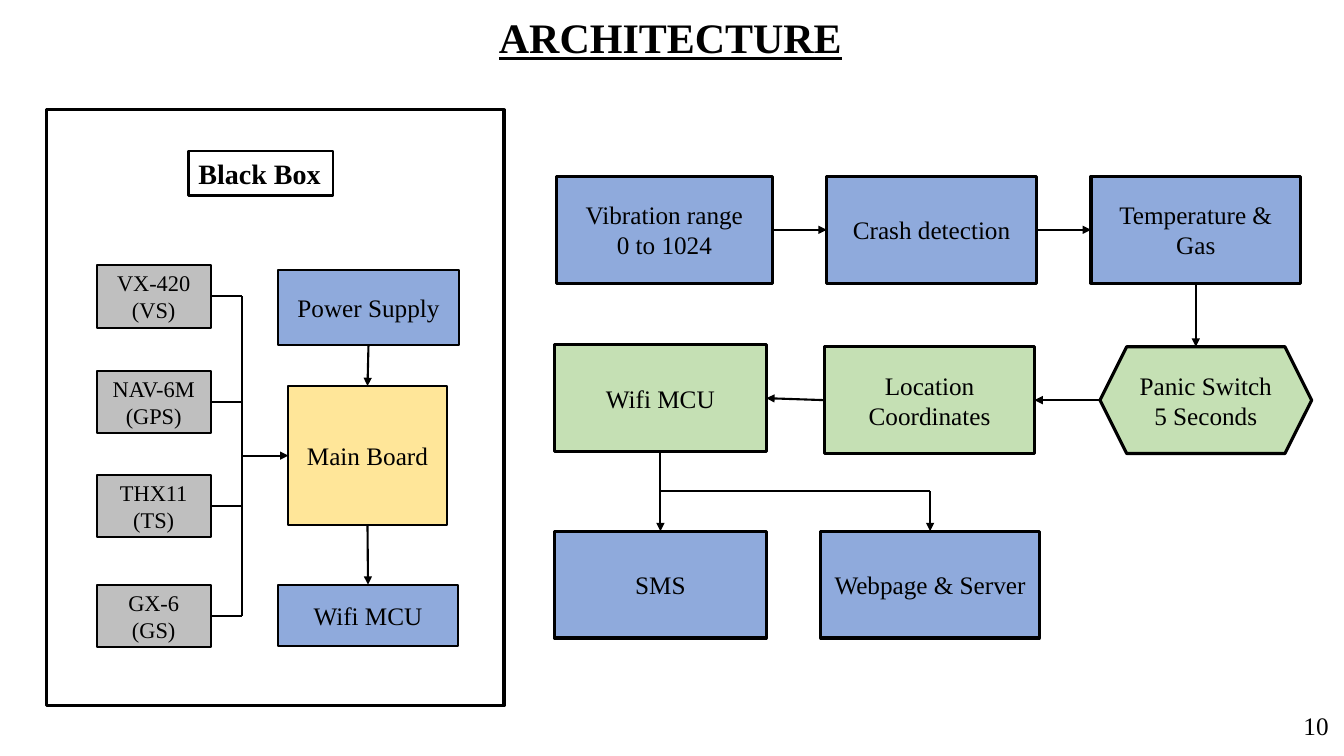
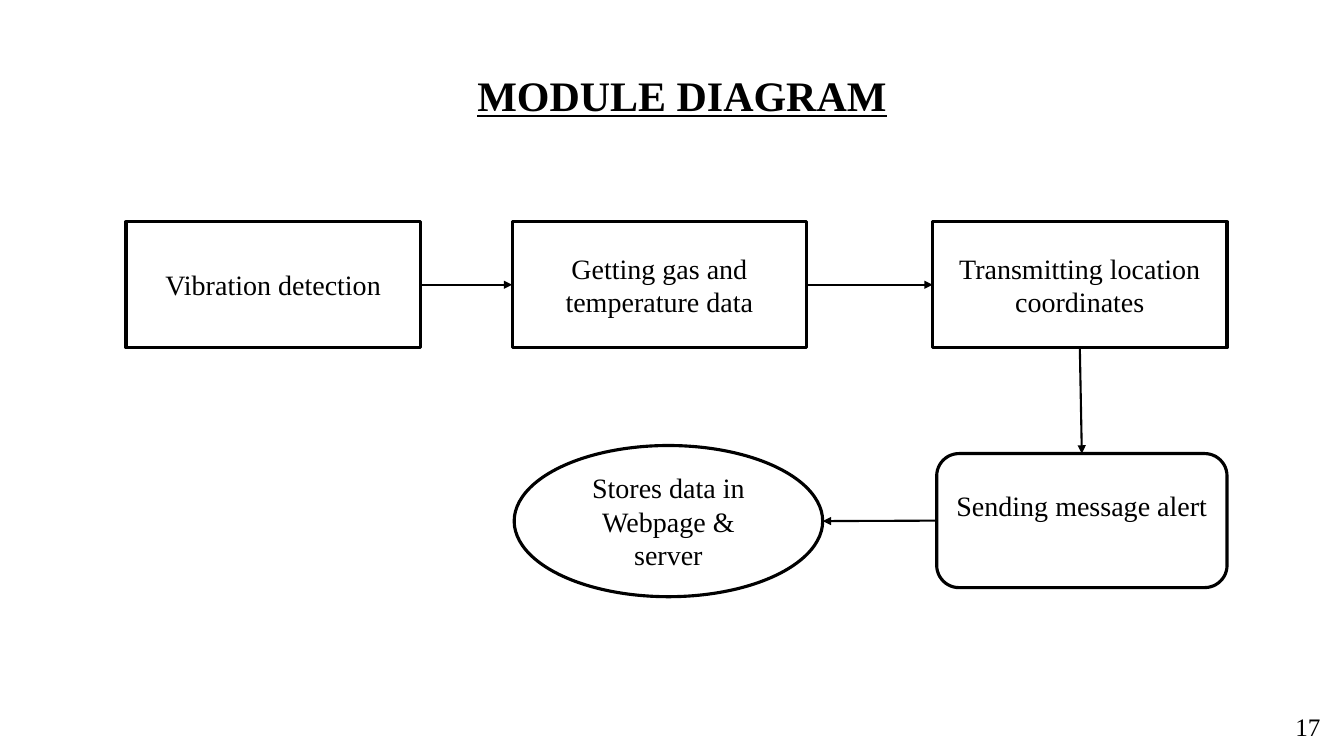
import dataclasses

import pptx
import pptx.dml.color
import pptx.enum.shapes
import pptx.enum.text
import pptx.oxml
import pptx.oxml.ns
import pptx.util

Inches = pptx.util.Inches
Pt = pptx.util.Pt
Form = pptx.enum.shapes.MSO_SHAPE
Align = pptx.enum.text.PP_ALIGN
Anchor = pptx.enum.text.MSO_ANCHOR
TOP, LEFT, BOTTOM, RIGHT = range(4)


@dataclasses.dataclass(frozen=True)
class Theme:
    """Hold the colours, type sizes and line widths of the deck."""

    font: str = "Times New Roman"
    ink: str = "000000"
    white: str = "FFFFFF"
    grey: str = "BFBFBF"
    blue: str = "8FAADC"
    green: str = "C5E0B4"
    gold: str = "FFE699"
    title: int = 30
    large: int = 20
    body: int = 18
    small: int = 16
    thin: float = 1.5
    thick: float = 2.25


THEME = Theme()


def tint(code):
    """Turn a hex code into a colour."""
    return pptx.dml.color.RGBColor.from_string(code)


def write(shape, text, size, align=Align.CENTER, bold=False, anchor=Anchor.MIDDLE, wrap=True):
    """Put styled text in a shape, one paragraph for each line."""
    frame = shape.text_frame
    frame.text = text
    frame.word_wrap = wrap
    frame.vertical_anchor = anchor
    for para in frame.paragraphs:
        para.alignment = align
        para.font.name = THEME.font
        para.font.size = Pt(size)
        para.font.bold = bold
        para.font.color.rgb = tint(THEME.ink)
    return frame


def site(shape, side):
    """Find the middle of one side of a shape."""
    across = {LEFT: 0, RIGHT: shape.width}.get(side, shape.width // 2)
    down = {TOP: 0, BOTTOM: shape.height}.get(side, shape.height // 2)
    return shape.left + across, shape.top + down


@dataclasses.dataclass
class Region:
    """Draw parts on a slide, measured from the region's corner."""

    slide: object
    x: float
    y: float

    def box(self, x, y, w, h, text="", fill=None, size=THEME.body,
            line=THEME.thick, form=Form.RECTANGLE):
        """Add an outlined shape with centred text."""
        shape = self.slide.shapes.add_shape(
            form, Inches(self.x + x), Inches(self.y + y), Inches(w), Inches(h))
        shape.shadow.inherit = False
        if fill:
            shape.fill.solid()
            shape.fill.fore_color.rgb = tint(fill)
        else:
            shape.fill.background()
        shape.line.color.rgb = tint(THEME.ink)
        shape.line.width = Pt(line)
        if text:
            write(shape, text, size)
        return shape

    def wire(self, start, end, arrow=True):
        """Draw a straight line between two slide points."""
        wire = self.slide.shapes.add_connector(
            pptx.enum.shapes.MSO_CONNECTOR.STRAIGHT, *start, *end)
        wire.line.color.rgb = tint(THEME.ink)
        wire.line.width = Pt(THEME.thin)
        if arrow:
            pptx.oxml.ns.qn("a:tailEnd")
            head = pptx.oxml.parse_xml(
                '<a:tailEnd xmlns:a="http://schemas.openxmlformats.org/drawingml/2006/main"'
                ' type="triangle"/>')
            wire.line._get_or_add_ln().append(head)
        wire._element.spPr.append(pptx.oxml.parse_xml(
            '<a:effectLst xmlns:a="http://schemas.openxmlformats.org/drawingml/2006/main"/>'))
        return wire

    def spot(self, x, y):
        """Turn a place in the region into a slide point."""
        return Inches(self.x + x), Inches(self.y + y)

    def link(self, first, out, second, into):
        """Join two shapes by an arrow, glued where a side has a site."""
        wire = self.wire(site(first, out), site(second, into))
        glued = (Form.RECTANGLE, Form.ROUNDED_RECTANGLE)
        if first.auto_shape_type in glued:
            wire.begin_connect(first, out)
        if second.auto_shape_type in glued:
            wire.end_connect(second, into)


def page(deck, title, number, head, foot):
    """Add a slide with its title and number in the given boxes."""
    slide = deck.slides.add_slide(deck.slide_layouts[6])
    text = slide.shapes.add_textbox(*map(Inches, head))
    para = write(text, title, THEME.title, bold=True).paragraphs[0]
    para.font.underline = True
    para.line_spacing = 0.9
    label = slide.shapes.add_textbox(*map(Inches, foot))
    write(label, number, THEME.body, Align.LEFT, anchor=Anchor.TOP, wrap=False)
    return slide


def sensors(slide, x, y):
    """Draw the framed box of sensors, board and power."""
    part = Region(slide, x, y)
    part.box(0, 0, 4.54, 5.91)
    label = part.box(1.41, 0.41, 1.43, 0.44, line=THEME.thin)
    write(label, "Black Box", THEME.large, Align.LEFT, bold=True,
          anchor=Anchor.TOP, wrap=False)

    rows = ((1.54, "VX-420 (VS)"), (2.59, "NAV-6M (GPS)"),
            (3.62, "THX11 (TS)"), (4.71, "GX-6\n(GS)"))
    bus, half = 1.94, 0.31
    for top, text in rows:
        cell = part.box(0.5, top, 1.13, 2 * half, text, THEME.grey, THEME.small, THEME.thin)
        part.wire(site(cell, RIGHT), part.spot(bus, top + half), False)
    part.wire(part.spot(bus, rows[0][0] + half), part.spot(bus, rows[-1][0] + half), False)

    power = part.box(2.3, 1.59, 1.79, 0.74, "Power Supply", THEME.blue, line=THEME.thin)
    board = part.box(2.4, 2.74, 1.57, 1.38, "Main Board", THEME.gold, line=THEME.thin)
    node = part.box(2.3, 4.71, 1.78, 0.61, "Wifi MCU", THEME.blue, line=THEME.thin)
    part.wire(part.spot(bus, 3.43), site(board, LEFT))
    part.link(power, BOTTOM, board, TOP)
    part.link(board, BOTTOM, node, TOP)


def alerts(slide, x, y):
    """Draw the flow from vibration to the sent alerts."""
    part = Region(slide, x, y)
    high = 1.06
    shake = part.box(0.02, 0, 2.14, high, "Vibration range\n0 to 1024", THEME.blue)
    crash = part.box(2.7, 0, 2.08, high, "Crash detection", THEME.blue)
    heat = part.box(5.32, 0, 2.08, high, "Temperature & Gas", THEME.blue)
    node = part.box(0, 1.67, 2.1, high, "Wifi MCU", THEME.green)
    place = part.box(2.68, 1.69, 2.08, high, "Location\nCoordinates", THEME.green)
    panic = part.box(5.41, 1.69, 2.1, high, "Panic Switch\n5 Seconds",
                     THEME.green, form=Form.HEXAGON)
    text = part.box(0, 3.52, 2.1, high, "SMS", THEME.blue)
    web = part.box(2.64, 3.52, 2.17, high, "Webpage & Server", THEME.blue)

    part.link(shake, RIGHT, crash, LEFT)
    part.link(crash, RIGHT, heat, LEFT)
    part.wire(site(heat, BOTTOM), (site(heat, BOTTOM)[0], panic.top))
    part.link(panic, LEFT, place, RIGHT)
    part.link(place, LEFT, node, RIGHT)
    part.link(node, BOTTOM, text, TOP)
    fork = (site(node, BOTTOM)[1] + text.top) // 2
    turn = (site(web, TOP)[0], fork)
    part.wire((site(node, BOTTOM)[0], fork), turn, False)
    part.wire(turn, site(web, TOP))


def modules(slide, x, y):
    """Draw the chain of modules from sensing to storage."""
    part = Region(slide, x, y)
    steps = [part.box(left, 0, 2.92, 1.25, text, THEME.white, THEME.large)
             for left, text in ((0, "Vibration detection"),
                                (3.83, "Getting gas and temperature data"),
                                (8, "Transmitting location coordinates"))]
    send = part.box(8.04, 2.3, 2.88, 1.33, "Sending message alert", THEME.white,
                    THEME.large, form=Form.ROUNDED_RECTANGLE)
    send.text_frame.margin_bottom = Inches(0.35)
    store = part.box(3.85, 2.22, 3.06, 1.5, "Stores data in Webpage & server",
                     THEME.white, THEME.large, form=Form.OVAL)
    for first, second in zip(steps, steps[1:]):
        part.link(first, RIGHT, second, LEFT)
    part.link(steps[-1], BOTTOM, send, TOP)
    part.link(send, LEFT, store, RIGHT)


def main():
    """Build and save the deck."""
    deck = pptx.Presentation()
    deck.slide_width, deck.slide_height = Inches(13.33), Inches(7.5)
    plan = page(deck, "ARCHITECTURE", "10", (4.07, 0.01, 5.16, 0.78), (12.83, 7, 0.46, 0.4))
    sensors(plan, 0.46, 1.09)
    alerts(plan, 5.5, 1.75)
    chain = page(deck, "MODULE DIAGRAM", "17", (4.18, 0.48, 5.17, 0.98), (12.75, 7.01, 0.46, 0.4))
    modules(chain, 1.25, 2.2)
    deck.save("out.pptx")


if __name__ == "__main__":
    main()
